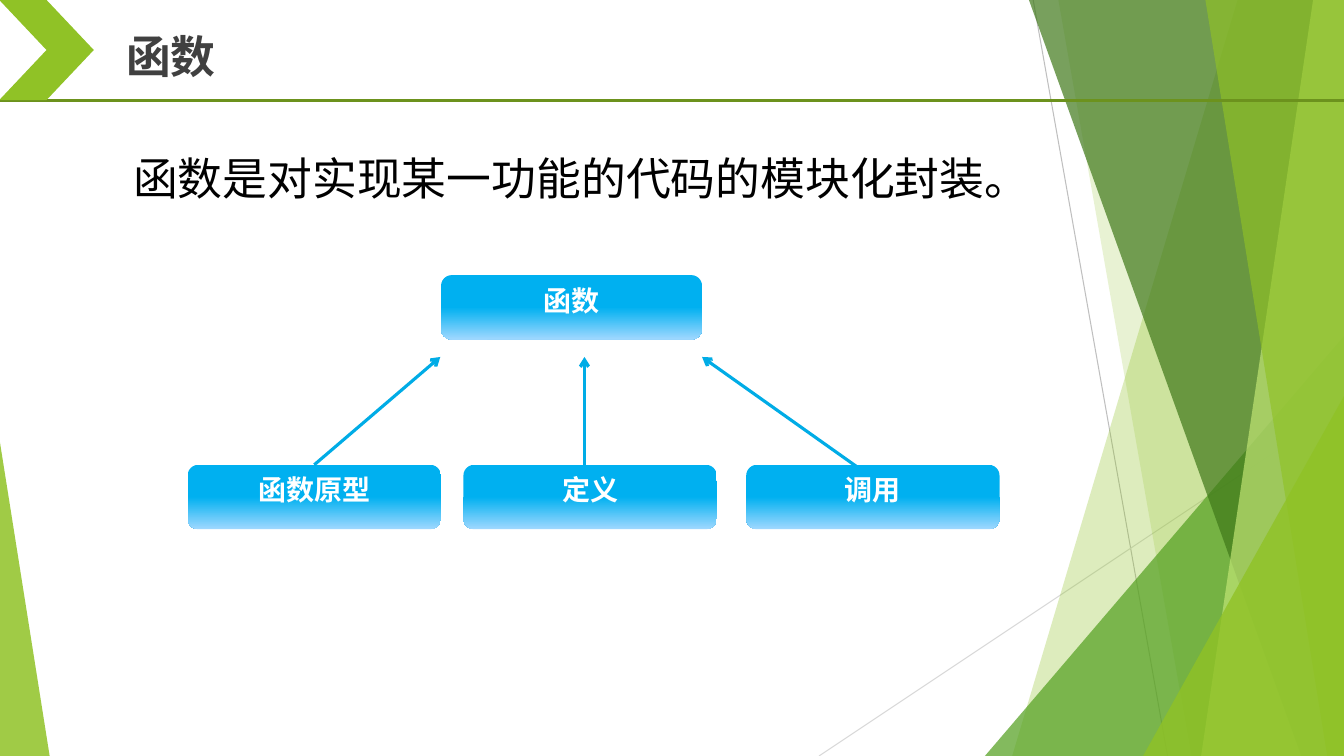
"""Build a slide that explains what a function is and its three parts."""
import copy

import pptx
import pptx.dml.color
import pptx.enum.dml
import pptx.enum.shapes
import pptx.enum.text
import pptx.oxml.ns
import pptx.util
from lxml import etree

Pt = pptx.util.Pt
RGBColor = pptx.dml.color.RGBColor
Shape = pptx.enum.shapes.MSO_SHAPE
Anchor = pptx.enum.text.MSO_ANCHOR
Align = pptx.enum.text.PP_ALIGN
qn = pptx.oxml.ns.qn

WIDTH, HEIGHT = 960, 540
FONT = "Noto Sans CJK SC"
LIME = RGBColor(0x90, 0xC2, 0x26)
PALE_LIME = RGBColor(0xC0, 0xE4, 0x74)
GREEN = RGBColor(0x54, 0xA0, 0x21)
DARK_GREEN = RGBColor(0x3F, 0x78, 0x19)
OLIVE = RGBColor(0x6C, 0x92, 0x1D)
GRAY = RGBColor(0xBF, 0xBF, 0xBF)
LIGHT_GRAY = RGBColor(0xD9, 0xD9, 0xD9)
CHARCOAL = RGBColor(0x40, 0x40, 0x40)
BLACK = RGBColor(0x00, 0x00, 0x00)
WHITE = RGBColor(0xFF, 0xFF, 0xFF)
SKY = RGBColor(0x00, 0xB0, 0xF0)
PALE_SKY = RGBColor(0x9F, 0xD8, 0xFF)
ARROW_BLUE = RGBColor(0x00, 0xAC, 0xE6)


def write_text(shape, text, size=20, color=WHITE, bold=False, align=Align.LEFT,
               anchor=Anchor.TOP, line_spacing=None):
    """Put one formatted paragraph into a shape."""
    frame = shape.text_frame
    frame.word_wrap = True
    frame.auto_size = pptx.enum.text.MSO_AUTO_SIZE.SHAPE_TO_FIT_TEXT
    frame.vertical_anchor = anchor
    paragraph = frame.paragraphs[0]
    paragraph.alignment = align
    paragraph.line_spacing = line_spacing
    run = paragraph.add_run()
    run.text = text
    run.font.size = Pt(size)
    run.font.bold = bold
    run.font.color.rgb = color
    run.font.name = FONT
    properties = run.font._element
    etree.SubElement(properties, qn("a:ea")).set("typeface", FONT)


class SlideBuilder:
    """Draw styled elements on one slide, measured in points."""

    def __init__(self, slide):
        """Keep the slide and the shared style."""
        self.slide = slide
        self.shapes = slide.shapes
        self.box_stops = [(0, SKY), (0.5, SKY), (1, PALE_SKY)]

    def paint(self, shape, color, opacity=100):
        """Give a shape a flat fill without outline or shadow."""
        shape.shadow.inherit = False
        shape.line.fill.background()
        shape.fill.solid()
        shape.fill.fore_color.rgb = color
        if opacity < 100:
            color_element = shape.element.spPr.find(qn("a:solidFill"))[0]
            alpha = etree.SubElement(color_element, qn("a:alpha"))
            alpha.set("val", str(opacity * 1000))

    def preset(self, kind, left, top, width, height, color, opacity=100, adjustment=None):
        """Add a flat preset shape."""
        shape = self.shapes.add_shape(kind, Pt(left), Pt(top), Pt(width), Pt(height))
        if adjustment is not None:
            shape.adjustments[0] = adjustment
        self.paint(shape, color, opacity)
        return shape

    def band(self, top_x, bottom_x, color, opacity):
        """Add a full-height band that reaches the right edge."""
        builder = self.shapes.build_freeform(Pt(top_x), 0)
        corners = [(WIDTH, 0), (WIDTH, HEIGHT), (bottom_x, HEIGHT)]
        builder.add_line_segments([(Pt(x), Pt(y)) for x, y in corners], close=True)
        self.paint(builder.convert_to_shape(), color, opacity)

    def corner(self, left, top, width, color, opacity, adjustment):
        """Add a triangle that stands on the bottom edge."""
        self.preset(Shape.ISOSCELES_TRIANGLE, left, top, width, HEIGHT - top,
                    color, opacity, adjustment)

    def line(self, start, end, color, width, arrow=False):
        """Add a straight line, optionally with an arrowhead at its end."""
        connector = self.shapes.add_connector(
            pptx.enum.shapes.MSO_CONNECTOR.STRAIGHT,
            Pt(start[0]), Pt(start[1]), Pt(end[0]), Pt(end[1]))
        connector.line.color.rgb = color
        connector.line.width = Pt(width)
        if arrow:
            line_element = connector.line._get_or_add_ln()
            etree.SubElement(line_element, qn("a:tailEnd")).set("type", "arrow")
        etree.SubElement(connector.element.spPr, qn("a:effectLst"))
        return connector

    def arrow(self, start, end):
        """Add a blue arrow."""
        return self.line(start, end, ARROW_BLUE, 2.25, arrow=True)

    def box(self, text, left, top, width):
        """Add a rounded gradient box with a centred label."""
        shape = self.preset(Shape.ROUNDED_RECTANGLE, left, top, width, 46, SKY,
                            adjustment=0.167)
        shape.fill.gradient()
        stop_list = shape.element.spPr.find(qn("a:gradFill")).find(qn("a:gsLst"))
        stop_list.append(copy.deepcopy(stop_list[-1]))
        for stop, (position, color) in zip(shape.fill.gradient_stops, self.box_stops):
            stop.position = position
            stop.color.rgb = color
        shape.fill.gradient_angle = 270
        write_text(shape, text, bold=True, align=Align.CENTER)
        return shape

    def text(self, text, left, top, width, height, **text_format):
        """Add a text box."""
        shape = self.shapes.add_textbox(Pt(left), Pt(top), Pt(width), Pt(height))
        write_text(shape, text, anchor=Anchor.MIDDLE, **text_format)


def draw_backdrop(builder):
    """Draw the green facets at both edges."""
    builder.line((738, 0), (834, HEIGHT), GRAY, 0.75)
    builder.line((WIDTH, 290), (585, HEIGHT), LIGHT_GRAY, 0.75)
    builder.band(884, 723, LIME, 30)
    builder.band(756, 851, LIME, 20)
    builder.corner(703.5, 240, 256.5, GREEN, 72, 1)
    builder.band(735, 929.5, DARK_GREEN, 70)
    builder.band(938, 858, PALE_LIME, 70)
    builder.band(861, 948, LIME, 65)
    builder.corner(816.5, 283, 143.5, LIME, 80, 1)
    builder.corner(0, 316, 35.5, LIME, 85, 0)


def draw_diagram(builder):
    """Draw the function box and the three parts that point to it."""
    part_top, part_width, arrow_top = 332, 181, 255
    builder.box("函数", 315, 196.5, 186.5)
    builder.arrow((627, 344), (501.5, arrow_top))
    parts = [builder.box(text, left, part_top, part_width)
             for text, left in [("函数原型", 134), ("定义", 331), ("调用", 533)]]
    prototype_arrow = builder.arrow((224.5, part_top), (314.5, arrow_top))
    prototype_arrow.begin_connect(parts[0], 0)
    builder.arrow((417.5, part_top), (417.5, arrow_top))


def main():
    """Build and save the presentation."""
    presentation = pptx.Presentation()
    presentation.slide_width, presentation.slide_height = Pt(WIDTH), Pt(HEIGHT)
    slide = presentation.slides.add_slide(presentation.slide_layouts[6])
    builder = SlideBuilder(slide)
    draw_backdrop(builder)
    builder.line((0, 71.5), (WIDTH, 71.5), OLIVE, 2.25)
    builder.preset(Shape.CHEVRON, -0.5, 0, 67.5, 71.5, LIME)
    builder.text("函数", 83, 17, 312, 46, size=32, color=CHARCOAL, bold=True)
    draw_diagram(builder)
    builder.text("函数是对实现某一功能的代码的模块化封装。", 88, 84, 738, 66,
                 size=32, color=BLACK, line_spacing=1.5)
    presentation.save("out.pptx")


if __name__ == "__main__":
    main()
